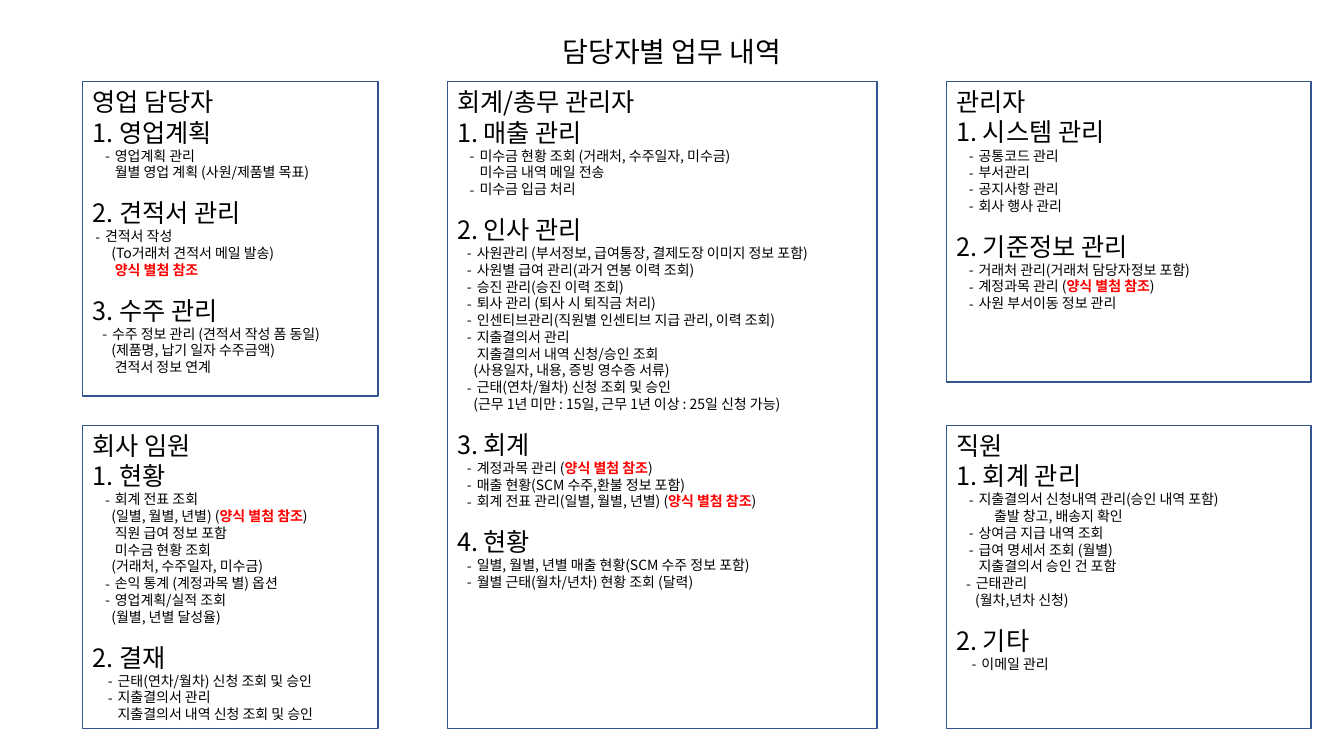
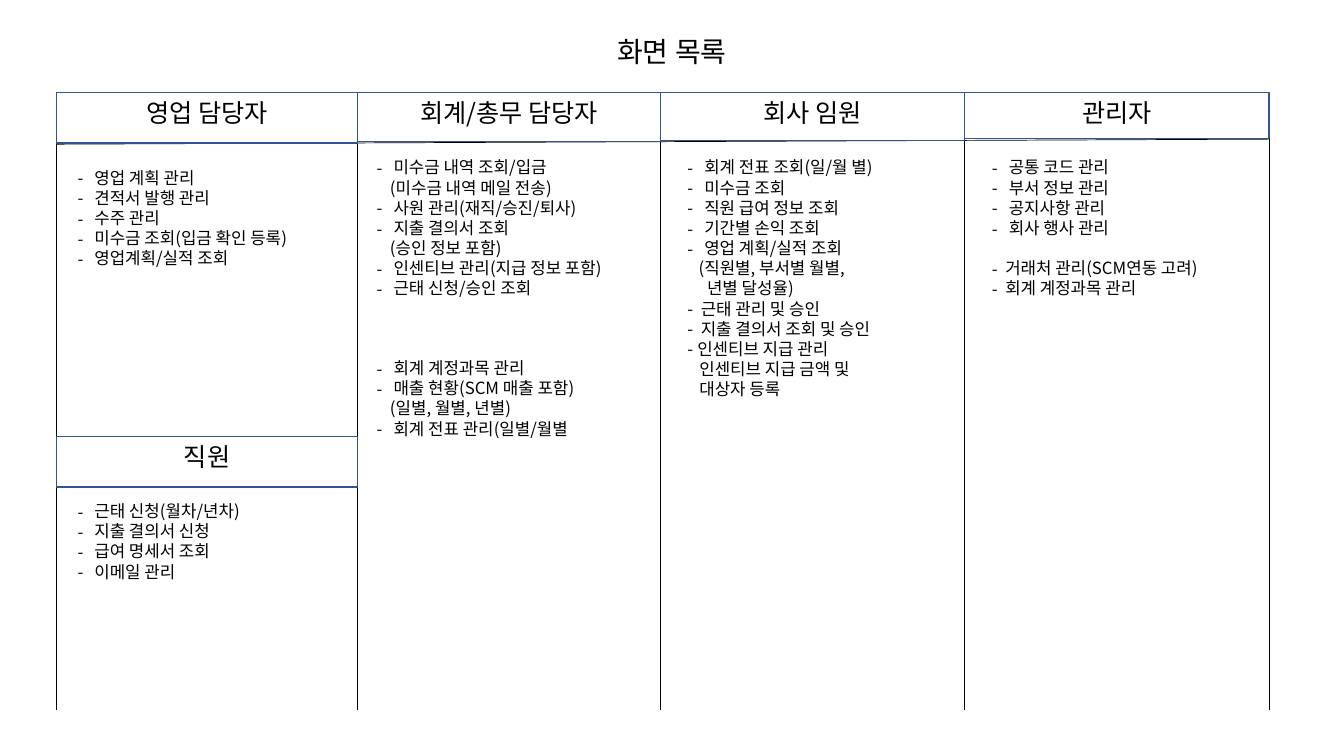
from lxml import etree
from pptx import Presentation
from pptx.dml.color import RGBColor
from pptx.enum import shapes, text
from pptx.oxml import ns
from pptx.util import Pt

FONT = "Noto Sans CJK KR"
BLACK, RED, BLUE = "000000", "FF0000", "325491"
NOTE = "양식 별첨 참조"  # always set in bold red
TITLE_SIZE, HEADING_SIZE, DUTY_SIZE, SCREEN_SIZE = 20, 18, 10, 12
LINE_HEIGHT = 1.2
PAREN_OUTDENT = 2.5


def add_panel(slide, left, top, width, height, outlined=True):
    """Add an outlined box or a plain text box and return its text frame."""
    place = Pt(left), Pt(top), Pt(width), Pt(height)
    if outlined:
        shape = slide.shapes.add_shape(shapes.MSO_SHAPE.RECTANGLE, *place)
        shape.shadow.inherit = False
        shape.fill.background()
        shape.line.color.rgb = RGBColor.from_string(BLUE)
        shape.line.width = Pt(1)
    else:
        shape = slide.shapes.add_textbox(*place)
    shape.text_frame.word_wrap = True
    shape.text_frame.vertical_anchor = text.MSO_ANCHOR.TOP
    return shape.text_frame


def add_line(frame, line, size, dash=0, hang=0, before=0, align=text.PP_ALIGN.LEFT):
    """Write one paragraph; "- " makes a bullet, (shift, line) moves a line."""
    shift, line = line if isinstance(line, tuple) else (0, line)
    paragraph = frame.add_paragraph() if frame.text else frame.paragraphs[0]
    paragraph.alignment = align
    paragraph.line_spacing = Pt(size * LINE_HEIGHT)
    paragraph.space_before = Pt(before)
    properties = paragraph._p.get_or_add_pPr()
    left, indent = dash + hang + shift, 0
    if line.startswith("- "):
        line, indent = line[2:], -hang
        etree.SubElement(properties, ns.qn("a:buFont")).set("typeface", FONT)
        etree.SubElement(properties, ns.qn("a:buChar")).set("char", "-")
    elif line.startswith("("):
        left -= PAREN_OUTDENT
    properties.set("marL", str(int(Pt(left))))
    properties.set("indent", str(int(Pt(indent))))
    for part in filter(None, line.partition(NOTE)):
        run = paragraph.add_run()
        run.text = part
        run.font.size = Pt(size)
        run.font.bold = part == NOTE
        run.font.color.rgb = RGBColor.from_string(RED if part == NOTE else BLACK)
        run.font.name = FONT
        etree.SubElement(run._r.get_or_add_rPr(), ns.qn("a:ea")).set("typeface", FONT)


# Shared layout and titles
presentation = Presentation()
presentation.slide_width, presentation.slide_height = Pt(960), Pt(540)
layout = presentation.slide_layouts.get_by_name("Title Only")
layout_title = layout.placeholders[0]
layout_title.left, layout_title.top = Pt(0), Pt(21)
layout_title.width, layout_title.height = Pt(960), Pt(32)

slides = []
for title in ("담당자별 업무 내역", "화면 목록"):
    slide = presentation.slides.add_slide(layout)
    slide.shapes.title.text_frame.vertical_anchor = text.MSO_ANCHOR.TOP
    add_line(slide.shapes.title.text_frame, title, TITLE_SIZE, align=text.PP_ALIGN.CENTER)
    slides.append(slide)
duties_slide, screens_slide = slides

# Slide 1: duties, as (left, top, width, height), role, [(heading, dash, lines)]
TOP, LOWER_TOP, BOTTOM = 58.3, 303.8, 520.5
LEFT_COLUMN, MIDDLE_COLUMN, RIGHT_COLUMN = (59, 211), (319.5, 307), (676, 260.5)
duties = [
    (LEFT_COLUMN, TOP, 283, "영업 담당자", [
        ("1. 영업계획", 9, [
            "- 영업계획 관리",
            "월별 영업 계획 (사원/제품별 목표)"]),
        ("2. 견적서 관리", 2, [
            "- 견적서 작성",
            (7, "(To거래처 견적서 메일 발송)"),
            (7, NOTE)]),
        ("3. 수주 관리", 7, [
            "- 수주 정보 관리 (견적서 작성 폼 동일)",
            (2, "(제품명, 납기 일자 수주금액)"),
            (2, "견적서 정보 연계")]),
    ]),
    (MIDDLE_COLUMN, TOP, BOTTOM, "회계/총무 관리자", [
        ("1. 매출 관리", 9, [
            "- 미수금 현황 조회 (거래처, 수주일자, 미수금)",
            "미수금 내역 메일 전송",
            "- 미수금 입금 처리"]),
        ("2. 인사 관리", 7, [
            "- 사원관리 (부서정보, 급여통장, 결제도장 이미지 정보 포함)",
            "- 사원별 급여 관리(과거 연봉 이력 조회)",
            "- 승진 관리(승진 이력 조회)",
            "- 퇴사 관리 (퇴사 시 퇴직금 처리)",
            "- 인센티브관리(직원별 인센티브 지급 관리, 이력 조회)",
            "- 지출결의서 관리",
            "지출결의서 내역 신청/승인 조회",
            "(사용일자, 내용, 증빙 영수증 서류)",
            "- 근태(연차/월차) 신청 조회 및 승인",
            "(근무 1년 미만 : 15일, 근무 1년 이상 : 25일 신청 가능)"]),
        ("3. 회계", 7, [
            f"- 계정과목 관리 ({NOTE})",
            "- 매출 현황(SCM 수주,환불 정보 포함)",
            f"- 회계 전표 관리(일별, 월별, 년별) ({NOTE})"]),
        ("4. 현황", 7, [
            "- 일별, 월별, 년별 매출 현황(SCM 수주 정보 포함)",
            "- 월별 근태(월차/년차) 현황 조회 (달력)"]),
    ]),
    (RIGHT_COLUMN, TOP, 273, "관리자", [
        ("1. 시스템 관리", 9, [
            "- 공통코드 관리",
            "- 부서관리",
            "- 공지사항 관리",
            "- 회사 행사 관리"]),
        ("2. 기준정보 관리", 9, [
            "- 거래처 관리(거래처 담당자정보 포함)",
            f"- 계정과목 관리 ({NOTE})",
            "- 사원 부서이동 정보 관리"]),
    ]),
    (RIGHT_COLUMN, LOWER_TOP, BOTTOM, "직원", [
        ("1. 회계 관리", 9, [
            "- 지출결의서 신청내역 관리(승인 내역 포함)",
            (11, "출발 창고, 배송지 확인"),
            "- 상여금 지급 내역 조회",
            "- 급여 명세서 조회 (월별)",
            "지출결의서 승인 건 포함",
            (-2, "- 근태관리"),
            "(월차,년차 신청)"]),
        ("2. 기타", 11, ["- 이메일 관리"]),
    ]),
    (LEFT_COLUMN, LOWER_TOP, BOTTOM, "회사 임원", [
        ("1. 현황", 9, [
            "- 회계 전표 조회",
            f"(일별, 월별, 년별) ({NOTE})",
            "직원 급여 정보 포함",
            "미수금 현황 조회",
            "(거래처, 수주일자, 미수금)",
            "- 손익 통계 (계정과목 별) 옵션",
            "- 영업계획/실적 조회",
            "(월별, 년별 달성율)"]),
        ("2. 결재", 11, [
            "- 근태(연차/월차) 신청 조회 및 승인",
            "- 지출결의서 관리",
            "지출결의서 내역 신청 조회 및 승인"]),
    ]),
]
for (left, width), top, bottom, role, sections in duties:
    frame = add_panel(duties_slide, left, top, width, bottom - top)
    add_line(frame, role, HEADING_SIZE)
    for number, (heading, dash, lines) in enumerate(sections):
        gap = DUTY_SIZE * LINE_HEIGHT if number else 0
        add_line(frame, heading, HEADING_SIZE, before=gap)
        for line in lines:
            add_line(frame, line, DUTY_SIZE, dash, hang=7)

# Slide 2: column rules
EDGES = [40.3, 255.5, 472, 689, 906.5]
HEADER_TOP = 66.2
rules = [(EDGES[0], 103, EDGES[-1], 99.4)]
rules += [(edge, 67.7, edge, 507) for edge in EDGES]
for rule in rules:
    connector = screens_slide.shapes.add_connector(
        shapes.MSO_CONNECTOR.STRAIGHT, *map(Pt, rule))
    connector.line.color.rgb = RGBColor.from_string(BLACK)
    connector.line.width = Pt(0.5)
    etree.SubElement(connector._element.spPr, ns.qn("a:effectLst"))

# Column headers, each a little lower in height like the sloping rule
headers = [(column, HEADER_TOP, 36 - column, role) for column, role in enumerate(
    ["영업 담당자", "회계/총무 담당자", "회사 임원", "관리자"])]
headers.append((0, 311.8, 36, "직원"))
for column, top, height, role in headers:
    width = EDGES[column + 1] - EDGES[column]
    frame = add_panel(screens_slide, EDGES[column], top, width, height)
    add_line(frame, role, HEADING_SIZE, align=text.PP_ALIGN.CENTER)

# Screen lists, as left, top, height, [(gap before, hang, lines)]
screens = [
    (40.3, 116, 80, [(0, 12, [
        "- 영업 계획 관리",
        "- 견적서 발행 관리",
        "- 수주 관리",
        "- 미수금 조회(입금 확인 등록)",
        "- 영업계획/실적 조회"])]),
    (40.3, 354.2, 65, [(0, 12, [
        "- 근태 신청(월차/년차)",
        "- 지출 결의서 신청",
        "- 급여 명세서 조회",
        "- 이메일 관리"])]),
    (254, 108.7, 109, [(0, 12, [
        "- 미수금 내역 조회/입금",
        "(미수금 내역 메일 전송)",
        "- 사원 관리(재직/승진/퇴사)",
        "- 지출 결의서 조회",
        "(승인 정보 포함)",
        "- 인센티브 관리(지급 정보 포함)",
        "- 근태 신청/승인 조회"])]),
    (476, 108.7, 181, [
        (0, 12, [
            "- 회계 전표 조회(일/월 별)",
            "- 미수금 조회",
            "- 직원 급여 정보 조회",
            "- 기간별 손익 조회",
            "- 영업 계획/실적 조회",
            (-1.5, "(직원별, 부서별 월별,"),
            (2, "년별 달성율)")]),
        (0, 9.5, [
            "- 근태 관리 및 승인",
            "- 지출 결의서 조회 및 승인"]),
        (0, 7, [
            "- 인센티브 지급 관리",
            (1.5, "인센티브 지급 금액 및"),
            (1.5, "대상자 등록")]),
    ]),
    (693.5, 108.7, 109, [
        (0, 12, [
            "- 공통 코드 관리",
            "- 부서 정보 관리",
            "- 공지사항 관리",
            "- 회사 행사 관리"]),
        (SCREEN_SIZE * LINE_HEIGHT, 9.5, [
            "- 거래처 관리(SCM연동 고려)",
            "- 회계 계정과목 관리"]),
    ]),
    (254, 252, 65, [(0, 12, [
        "- 회계 계정과목 관리",
        "- 매출 현황(SCM 매출 포함)",
        "(일별, 월별, 년별)",
        "- 회계 전표 관리(일별/월별"])]),
]
for left, top, height, groups in screens:
    frame = add_panel(screens_slide, left, top, 208, height, outlined=False)
    for gap, hang, lines in groups:
        for number, line in enumerate(lines):
            add_line(frame, line, SCREEN_SIZE, 8, hang, before=0 if number else gap)

presentation.save("out.pptx")
